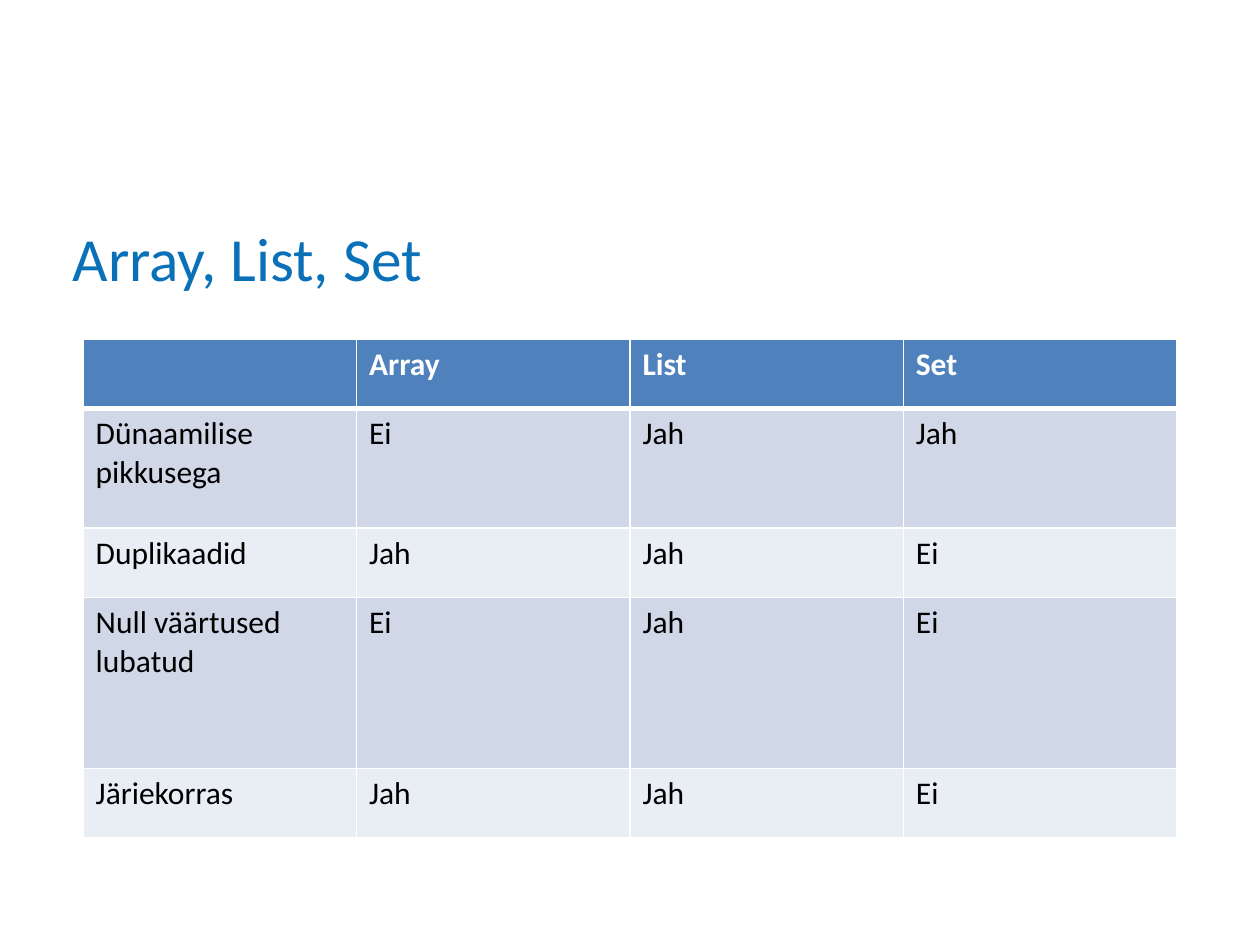
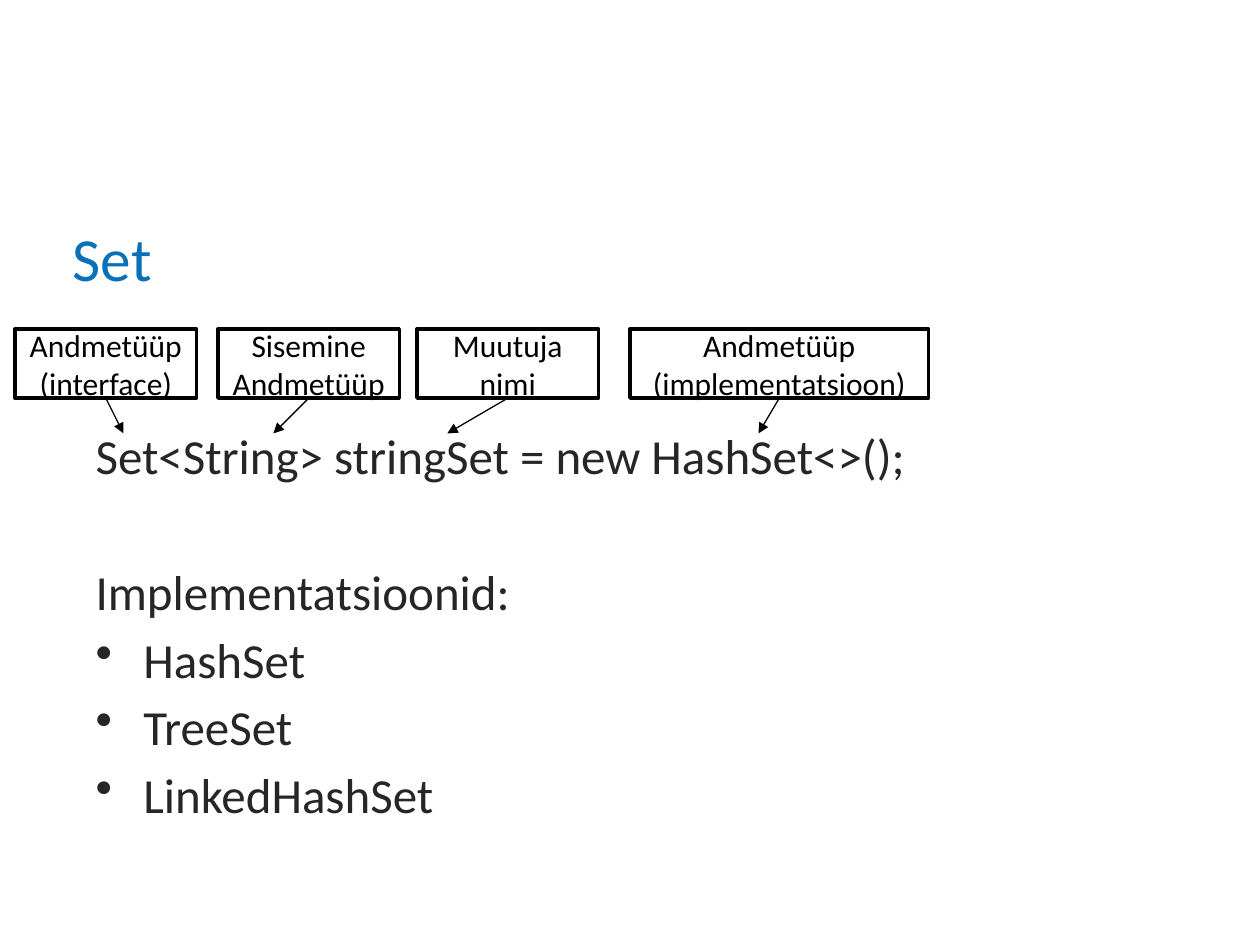
from dataclasses import dataclass

import pptx
import pptx.dml.color
import pptx.enum.shapes
import pptx.enum.text
import pptx.oxml.ns
import pptx.util
from lxml import etree
from pptx.util import Inches

ANCHOR = pptx.enum.text.MSO_ANCHOR
ALIGN = pptx.enum.text.PP_ALIGN
BOTTOM_SIDE = 2


@dataclass(frozen=True)
class Theme:
    font: str = "Calibri"
    title_color: str = "0A71B9"
    body_color: str = "262626"
    black: str = "000000"
    white: str = "FFFFFF"
    header_fill: str = "4F81BD"
    band_fills: tuple = ("D0D8E8", "E9EDF4")
    title_size: int = 35
    body_size: int = 28
    small_size: int = 18


def rgb(value):
    return pptx.dml.color.RGBColor.from_string(value)


def add_xml(parent, tag, **attributes):
    return etree.SubElement(parent, pptx.oxml.ns.qn(tag), attributes)


def write_text(frame, text, *, font, size, color, bold=False, align=ALIGN.LEFT):
    """Fill a text frame, one paragraph per line of text."""
    for index, line in enumerate(text.split("\n")):
        paragraph = frame.add_paragraph() if index else frame.paragraphs[0]
        paragraph.alignment = align
        run = paragraph.add_run()
        run.text = line
        run.font.name = font
        run.font.size = pptx.util.Pt(size)
        run.font.bold = bold
        run.font.color.rgb = rgb(color)


class Deck:
    def __init__(self, theme):
        self.theme = theme
        self.presentation = pptx.Presentation()
        self.presentation.slide_width = Inches(10)
        self.presentation.slide_height = Inches(7.5)
        self.slide = None

    def add_slide(self, title):
        self.slide = self.presentation.slides.add_slide(self.presentation.slide_layouts[6])
        frame = self.text_box(title, 0.48, 1.11, 9, 1.25,
                              size=self.theme.title_size, color=self.theme.title_color)
        frame.vertical_anchor = ANCHOR.BOTTOM
        frame.margin_bottom = Inches(0.03)

    def text_box(self, text, left, top, width, height, **text_format):
        shape = self.slide.shapes.add_textbox(
            Inches(left), Inches(top), Inches(width), Inches(height))
        shape.text_frame.word_wrap = True
        write_text(shape.text_frame, text, font=self.theme.font, **text_format)
        return shape.text_frame

    def label(self, text, left, top, width, height):
        shape = self.slide.shapes.add_shape(
            pptx.enum.shapes.MSO_SHAPE.RECTANGLE,
            Inches(left), Inches(top), Inches(width), Inches(height))
        shape.shadow.inherit = False
        shape.fill.solid()
        shape.fill.fore_color.rgb = rgb(self.theme.white)
        shape.line.color.rgb = rgb(self.theme.black)
        shape.line.width = pptx.util.Pt(2)
        shape.text_frame.word_wrap = True
        shape.text_frame.vertical_anchor = ANCHOR.MIDDLE
        write_text(shape.text_frame, text, font=self.theme.font, size=self.theme.small_size,
                   color=self.theme.black, align=ALIGN.CENTER)
        return shape

    def arrow_from(self, shape, end_x, end_y):
        connector = self.slide.shapes.add_connector(
            pptx.enum.shapes.MSO_CONNECTOR.STRAIGHT,
            shape.left, shape.top, Inches(end_x), Inches(end_y))
        connector.begin_connect(shape, BOTTOM_SIDE)
        connector.line.color.rgb = rgb(self.theme.black)
        connector.line.width = pptx.util.Pt(0.75)
        add_xml(connector.line._get_or_add_ln(), "a:tailEnd", type="triangle")
        add_xml(connector._element.spPr, "a:effectLst")

    def bullet(self, paragraph, indent):
        properties = paragraph._p.get_or_add_pPr()
        properties.set("marL", str(Inches(indent)))
        properties.set("indent", str(-Inches(indent)))
        add_xml(properties, "a:buChar", char="•")

    def border_cell(self, cell, **widths):
        properties = cell._tc.get_or_add_tcPr()
        for side in "LRTB":
            width = pptx.util.Pt(widths.get(side, 1))
            line = add_xml(properties, f"a:ln{side}", w=str(width))
            add_xml(add_xml(line, "a:solidFill"), "a:srgbClr", val=self.theme.white)

    def table(self, rows, row_heights, left, top, column_width):
        theme = self.theme
        columns = len(rows[0])
        table = self.slide.shapes.add_table(
            len(rows), columns, Inches(left), Inches(top),
            Inches(column_width * columns), Inches(sum(row_heights))).table
        table.horz_banding = False
        for row_index, (texts, height) in enumerate(zip(rows, row_heights)):
            table.rows[row_index].height = Inches(height)
            header = row_index == 0
            # A thick rule separates the header from the bands
            widths = {0: {"B": 3}, 1: {"T": 3}}.get(row_index, {})
            fill = theme.header_fill if header else theme.band_fills[(row_index - 1) % 2]
            for column_index, text in enumerate(texts):
                cell = table.cell(row_index, column_index)
                self.border_cell(cell, **widths)
                cell.fill.solid()
                cell.fill.fore_color.rgb = rgb(fill)
                if text:
                    write_text(cell.text_frame, text, font=theme.font, size=theme.small_size,
                               color=theme.white if header else theme.black, bold=header)


def build_comparison(deck):
    deck.add_slide("Array, List, Set")
    rows = [
        ("", "Array", "List", "Set"),
        ("Dünaamilise pikkusega", "Ei", "Jah", "Jah"),
        ("Duplikaadid", "Jah", "Jah", "Ei"),
        ("Null väärtused lubatud", "Ei", "Jah", "Ei"),
        ("Järiekorras", "Jah", "Jah", "Ei"),
    ]
    deck.table(rows, (0.55, 0.95, 0.55, 1.36, 0.55), 0.66, 2.69, column_width=2.17)


def build_set(deck):
    deck.add_slide("Set")

    # Declaration and list of implementations
    implementations = ("HashSet", "TreeSet", "LinkedHashSet")
    lines = ("Set<String> stringSet = new HashSet<>();", "Implementatsioonid:")
    frame = deck.text_box("\n".join(lines + implementations), 0.66, 2.78, 9.01, 4.37,
                          size=deck.theme.body_size, color=deck.theme.body_color)
    frame.margin_top = Inches(0.6)
    declaration, heading, *items = frame.paragraphs
    declaration.space_before = pptx.util.Pt(0)
    heading.space_before = pptx.util.Pt(44)
    for item in items:
        item.space_before = pptx.util.Pt(5)
        deck.bullet(item, 0.38)

    # Labels pointing at the parts of the declaration
    labels = [
        ("Andmetüüp\n(interface)", 0.12, 1.44, 0.98),
        ("Sisemine Andmetüüp", 1.73, 1.44, 2.17),
        ("Muutuja nimi", 3.31, 1.44, 3.55),
        ("Andmetüüp\n(implementatsioon)", 5, 2.37, 6.02),
    ]
    for text, left, width, target_x in labels:
        label = deck.label(text, left, 2.61, width, 0.55)
        deck.arrow_from(label, target_x, 3.44)


def main():
    deck = Deck(Theme())
    build_comparison(deck)
    build_set(deck)
    deck.presentation.save("out.pptx")


if __name__ == "__main__":
    main()
